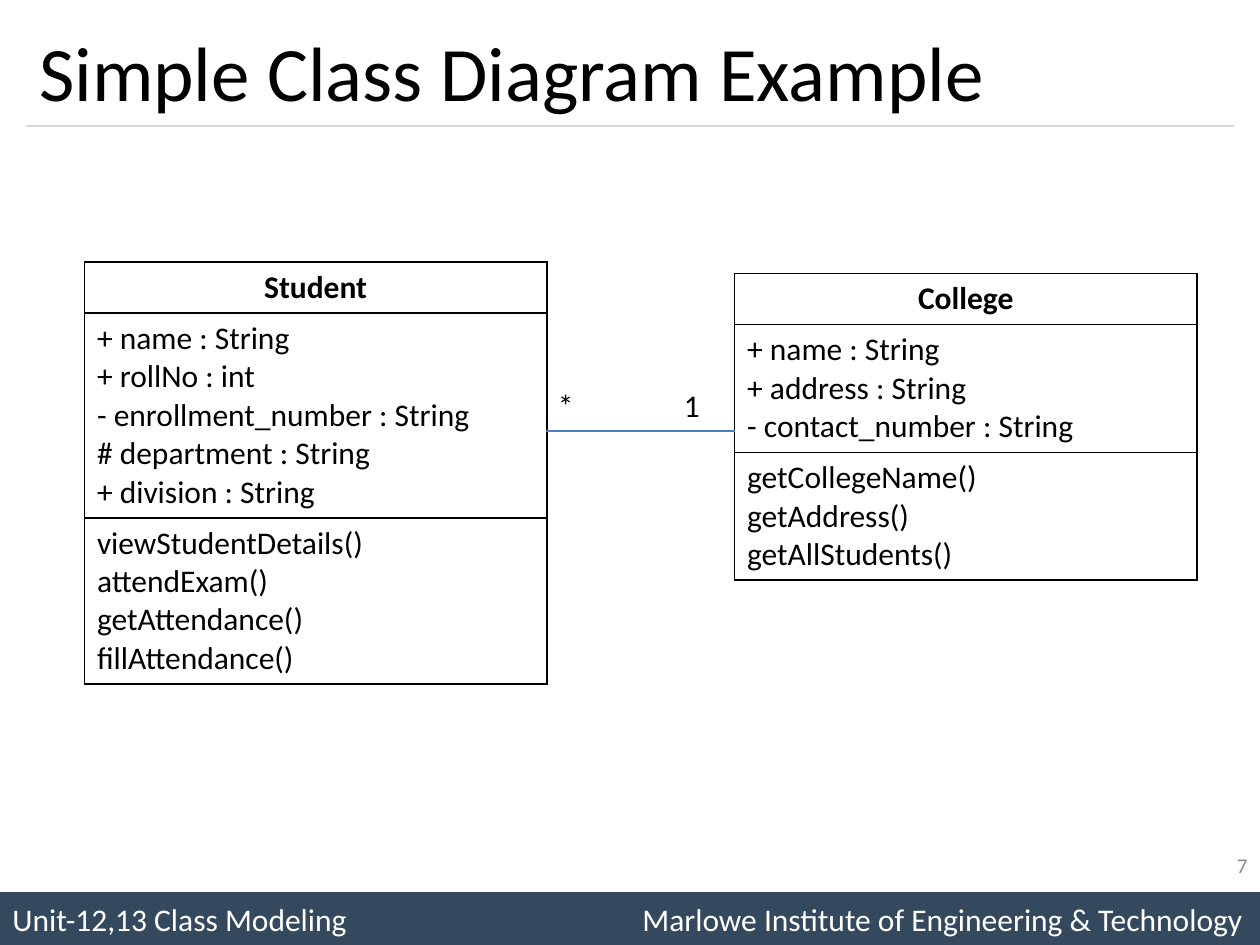
from lxml import etree
from pptx import Presentation
from pptx.dml.color import RGBColor
from pptx.enum.shapes import MSO_CONNECTOR, MSO_SHAPE
from pptx.enum.text import MSO_ANCHOR, PP_ALIGN
from pptx.oxml.ns import qn
from pptx.util import Inches, Pt

FONT = "Calibri"
BLACK = "000000"
LINE_HEIGHT = 0.305
CELL_PADDING = 0.1


def color(value):
    return RGBColor.from_string(value)


def write(frame, lines, size=18, ink=BLACK, bold=False, align=PP_ALIGN.LEFT):
    frame.text = "\n".join(lines)
    for paragraph in frame.paragraphs:
        paragraph.alignment = align
        for run in paragraph.runs:
            run.font.name = FONT
            run.font.size = Pt(size)
            run.font.bold = bold
            run.font.color.rgb = color(ink)


def add_label(slide, box, text, **style):
    label = slide.shapes.add_textbox(*map(Inches, box))
    label.text_frame.word_wrap = True
    label.text_frame.vertical_anchor = MSO_ANCHOR.MIDDLE
    write(label.text_frame, [text], **style)


def add_rule(slide, start, end, ink):
    rule = slide.shapes.add_connector(
        MSO_CONNECTOR.STRAIGHT, *map(Inches, (*start, *end)))
    rule.line.color.rgb = color(ink)
    rule.line.width = Pt(0.75)
    etree.SubElement(rule._element.spPr, qn("a:effectLst"))


def add_borders(cell, ink, width):
    properties = cell._tc.get_or_add_tcPr()
    for position, side in enumerate(("lnL", "lnR", "lnT", "lnB")):
        border = etree.Element(qn(f"a:{side}"), w=str(Pt(width)))
        fill = etree.SubElement(border, qn("a:solidFill"))
        etree.SubElement(fill, qn("a:srgbClr"), val=ink)
        properties.insert(position, border)


def add_title(slide, box, text):
    left, top, width, height = box
    title = slide.shapes.title
    title.left, title.top, title.width, title.height = map(Inches, box)
    title.text_frame.vertical_anchor = MSO_ANCHOR.MIDDLE
    write(title.text_frame, [text], size=44)
    bottom = top + height
    add_rule(slide, (left, bottom), (left + width, bottom), "D9D9D9")


def add_footer(slide, box, unit, institute):
    bar = slide.shapes.add_shape(MSO_SHAPE.RECTANGLE, *map(Inches, box))
    bar.shadow.inherit = False
    bar.fill.solid()
    bar.fill.fore_color.rgb = color("34495E")
    bar.line.fill.background()
    bar.text_frame.vertical_anchor = MSO_ANCHOR.MIDDLE
    write(bar.text_frame, [f"{unit}\t{institute}"], ink="FFFFFF")
    properties = bar.text_frame.paragraphs[0]._p.get_or_add_pPr()
    tabs = etree.SubElement(properties, qn("a:tabLst"))
    etree.SubElement(tabs, qn("a:tab"), pos=str(Inches(5)), algn="l")


def add_class(slide, left, top, width, name, attributes, methods):
    sections = [[name], attributes, methods]
    heights = [CELL_PADDING + LINE_HEIGHT * len(lines) for lines in sections]
    frame = slide.shapes.add_table(
        len(sections), 1, *map(Inches, (left, top, width, sum(heights))))
    table = frame.table
    table.first_row = table.horz_banding = False
    for index, (lines, height) in enumerate(zip(sections, heights)):
        table.rows[index].height = Inches(height)
        cell = table.cell(index, 0)
        cell.fill.background()
        is_name = index == 0
        write(cell.text_frame, lines, bold=is_name,
              align=PP_ALIGN.CENTER if is_name else PP_ALIGN.LEFT)
        add_borders(cell, BLACK, 1)


def add_association(slide, left, right, y, near, far):
    add_rule(slide, (left, y), (right, y), "4B7EBC")
    for x, multiplicity in ((left, near), (right - 0.5, far)):
        add_label(slide, (x, y - 0.42, 0.5, 0.42), multiplicity)


prs = Presentation()
prs.slide_width, prs.slide_height = Inches(10), Inches(7.5)
slide = prs.slides.add_slide(prs.slide_layouts[5])

add_footer(slide, (0, 7.08, 10, 0.42), "Unit-12,13 Class Modeling",
           "Marlowe Institute of Engineering & Technology")
add_title(slide, (0.21, 0.12, 9.58, 0.88), "Simple Class Diagram Example")
add_label(slide, (7.67, 6.67, 2.33, 0.4), "7", size=12, ink="8C8C8C",
          align=PP_ALIGN.RIGHT)
add_class(slide, 0.67, 2.08, 3.67, "Student",
          ["+ name : String", "+ rollNo : int", "- enrollment_number : String",
           "# department : String", "+ division : String"],
          ["viewStudentDetails()", "attendExam()", "getAttendance()",
           "fillAttendance()"])
add_class(slide, 5.83, 2.17, 3.67, "College",
          ["+ name : String", "+ address : String",
           "- contact_number : String"],
          ["getCollegeName()", "getAddress()", "getAllStudents()"])
add_association(slide, 4.33, 5.83, 3.42, "*", "1")

prs.save("out.pptx")
